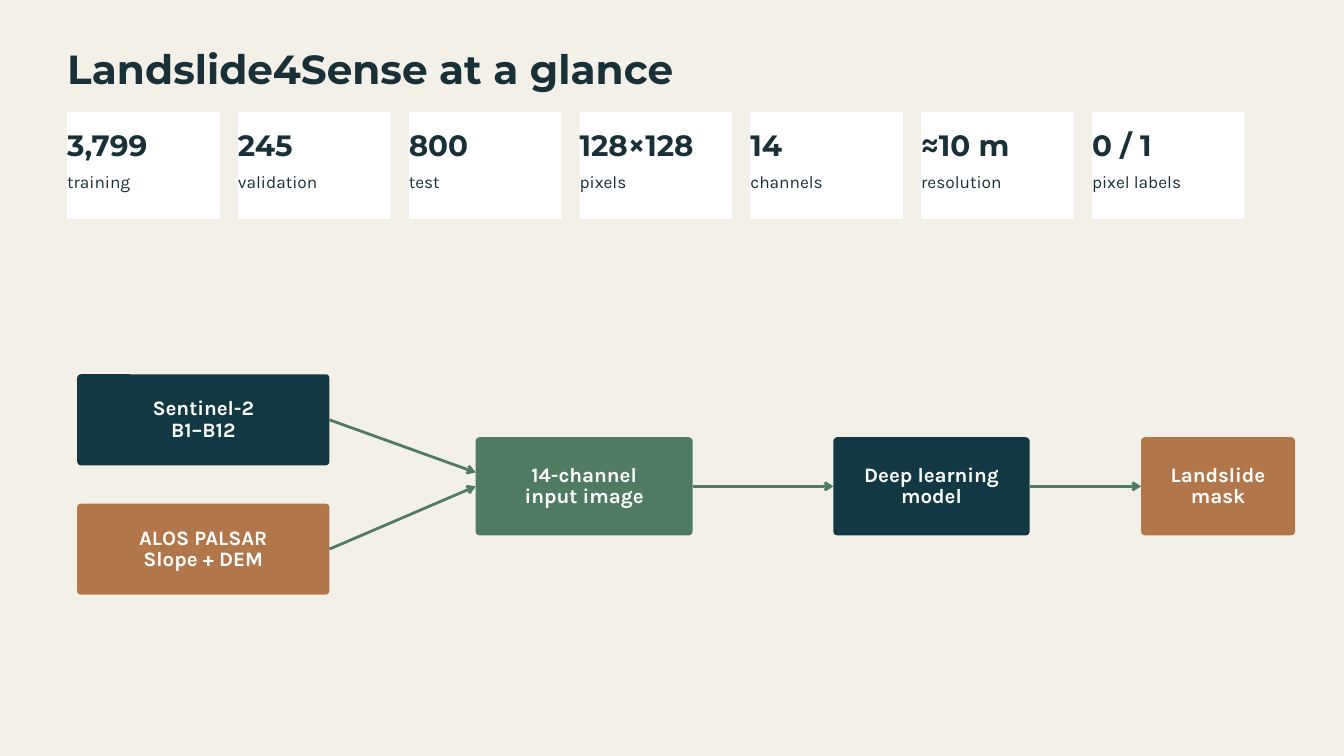
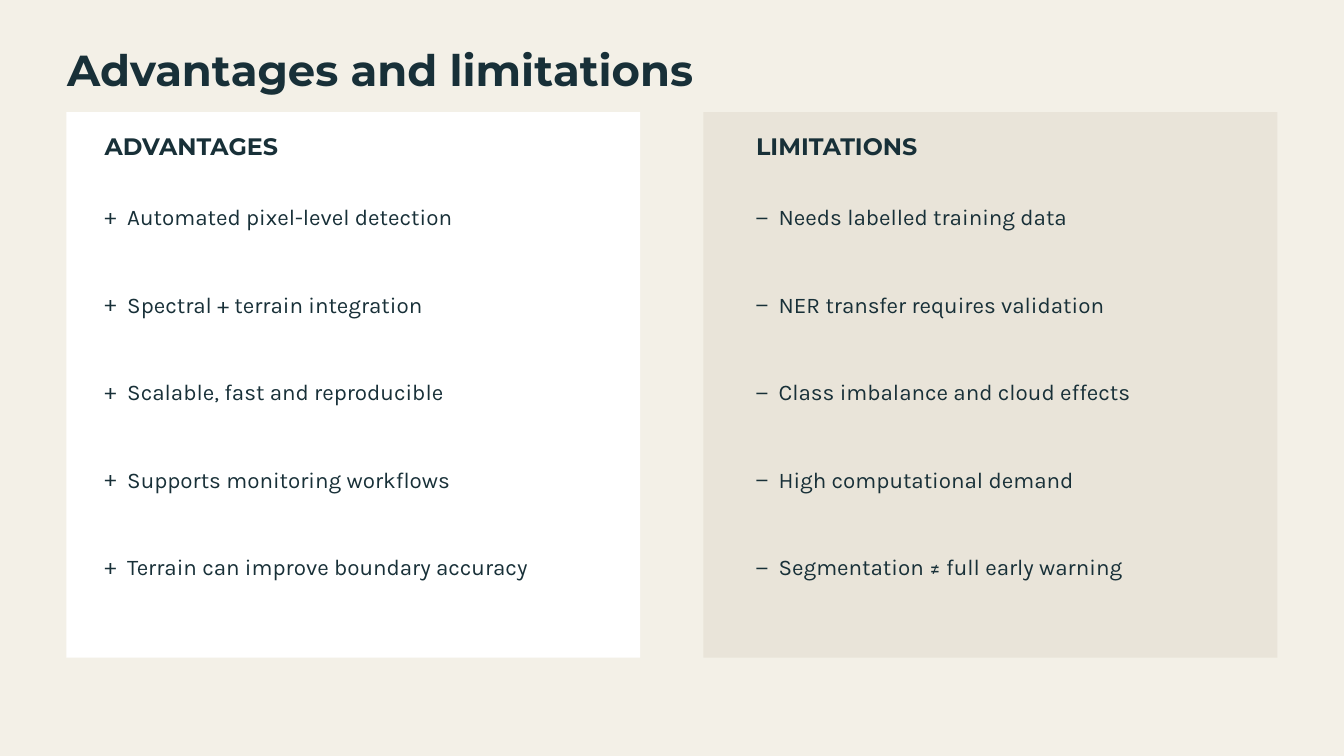
from pptx import Presentation
from pptx.dml.color import RGBColor
from pptx.enum.shapes import MSO_CONNECTOR, MSO_SHAPE
from pptx.enum.text import MSO_ANCHOR, MSO_AUTO_SIZE, PP_ALIGN
from pptx.oxml.ns import qn
from pptx.util import Cm, Pt
from lxml.etree import SubElement

COLOURS = {
    "paper": "F3F0E7",
    "ink": "183038",
    "white": "FFFFFF",
    "sand": "E9E4D9",
    "navy": "123844",
    "clay": "B2764B",
    "green": "4F7B62",
}
HEADING, BODY = "Montserrat", "Karla"
TOP, RIGHT, LEFT = 0, 3, 1
PANEL_TOP = 4.24


def colour(name):
    return RGBColor.from_string(COLOURS[name])


class Slides:
    """Holds the deck, its style and the current page."""

    def __init__(self):
        self.deck = Presentation()
        self.deck.slide_width, self.deck.slide_height = Cm(50.8), Cm(28.58)
        self.page = None

    def new_page(self, title, size):
        self.page = self.deck.slides.add_slide(self.deck.slide_layouts[6])
        self.page.background.fill.solid()
        self.page.background.fill.fore_color.rgb = colour("paper")
        self.text(title, 2.54, 1.88, 45.72, 1.7, size, size * 1.05, HEADING)

    def style(self, para, size, line, font, ink="ink"):
        para.line_spacing = Pt(line)
        for span in para.runs:
            span.font.name = font
            span.font.size = Pt(size)
            span.font.bold = font == HEADING or ink == "white"
            span.font.color.rgb = colour(ink)

    def text(self, words, left, top, width, height, size, line, font):
        box = self.page.shapes.add_textbox(Cm(left), Cm(top), Cm(width), Cm(height))
        frame = box.text_frame
        frame.word_wrap = True
        frame.auto_size = MSO_AUTO_SIZE.SHAPE_TO_FIT_TEXT
        frame.margin_left = frame.margin_right = 0
        frame.margin_top = frame.margin_bottom = 0
        frame.text = words
        for para in frame.paragraphs:
            self.style(para, size, line, font)
        return frame

    def bullets(self, mark, items, left, top, width, height):
        frame = self.text("\n".join(items), left, top, width, height, 24, 30, BODY)
        for index, para in enumerate(frame.paragraphs):
            if index:
                para.space_before = Pt(63.75)
            properties = para._p.get_or_add_pPr()
            properties.set("marL", str(Cm(0.85)))
            properties.set("indent", str(-Cm(0.85)))
            SubElement(properties, qn("a:buFont"), typeface=BODY)
            SubElement(properties, qn("a:buChar"), char=mark)

    def block(self, fill, left, top, width, height, kind=MSO_SHAPE.RECTANGLE):
        shape = self.page.shapes.add_shape(kind, Cm(left), Cm(top), Cm(width), Cm(height))
        shape.shadow.inherit = False
        shape.fill.solid()
        shape.fill.fore_color.rgb = colour(fill)
        shape.line.fill.background()
        return shape

    def node(self, words, fill, left, top, width, height):
        shape = self.block(fill, left, top, width, height, MSO_SHAPE.ROUNDED_RECTANGLE)
        shape.adjustments[0] = 0.04
        frame = shape.text_frame
        frame.word_wrap = True
        frame.vertical_anchor = MSO_ANCHOR.MIDDLE
        frame.margin_left = frame.margin_right = Cm(0.15)
        frame.margin_top = frame.margin_bottom = Cm(0.15)
        frame.text = words
        for para in frame.paragraphs:
            para.alignment = PP_ALIGN.CENTER
            self.style(para, 22, 23.1, BODY, "white")
        return shape

    def arrow(self, source, target, end_y=None):
        """Joins two nodes; end_y moves the tip off the middle of the side."""
        tip = Cm(end_y) if end_y else target.top + target.height // 2
        line = self.page.shapes.add_connector(
            MSO_CONNECTOR.STRAIGHT, source.left + source.width,
            source.top + source.height // 2, target.left, tip)
        line.begin_connect(source, RIGHT)
        if end_y is None:
            line.end_connect(target, LEFT)
        line.line.color.rgb = colour("green")
        line.line.width = Pt(3)
        SubElement(line.line._get_or_add_ln(), qn("a:tailEnd"), type="arrow")
        SubElement(line._element.spPr, qn("a:effectLst"))


def dataset_page(slides):
    slides.new_page("Landslide4Sense at a glance", 43.5)

    # Row of key figures
    figures = [
        ("3,799", "training"),
        ("245", "validation"),
        ("800", "test"),
        ("128×128", "pixels"),
        ("14", "channels"),
        ("≈10 m", "resolution"),
        ("0 / 1", "pixel labels"),
    ]
    for index, (value, label) in enumerate(figures):
        left = 2.54 + index * 6.456
        slides.block("white", left, PANEL_TOP, 5.77, 4.04)
        slides.text(value, left, 4.98, 5.56, 1.24, 31.5, 33.1, HEADING)
        slides.text(label, left, 6.45, 5.56, 0.81, 18.5, 23.1, BODY)

    # Flow from sensors to mask
    optical = slides.node("Sentinel-2\nB1–B12", "navy", 2.92, 14.15, 9.53, 3.44)
    terrain = slides.node("ALOS PALSAR\nSlope + DEM", "clay", 2.92, 19.04, 9.53, 3.44)
    steps = [
        ("14-channel\ninput image", "green", 17.98, 8.2),
        ("Deep learning\nmodel", "navy", 31.5, 7.42),
        ("Landslide\nmask", "clay", 43.13, 5.82),
    ]
    stack, model, mask = [
        slides.node(words, fill, left, 16.53, width, 3.71)
        for words, fill, left, width in steps
    ]
    slides.arrow(optical, stack, end_y=17.86)
    for source, target in [(terrain, stack), (stack, model), (model, mask)]:
        slides.arrow(source, target)


def balance_page(slides):
    slides.new_page("Advantages and limitations", 46.5)

    # Two panels, each with a heading and a list
    panels = [
        ("ADVANTAGES", "+", "white", 2.51, 3.96, [
            "Automated pixel-level detection",
            "Spectral + terrain integration",
            "Scalable, fast and reproducible",
            "Supports monitoring workflows",
            "Terrain can improve boundary accuracy",
        ]),
        ("LIMITATIONS", "−", "sand", 26.59, 28.58, [
            "Needs labelled training data",
            "NER transfer requires validation",
            "Class imbalance and cloud effects",
            "High computational demand",
            "Segmentation ≠ full early warning",
        ]),
    ]
    for heading, mark, fill, panel_left, text_left, items in panels:
        slides.block(fill, panel_left, PANEL_TOP, 21.69, 20.62)
        slides.text(heading, text_left, 5.13, 15.88, 0.97, 25.5, 26.8, HEADING)
        slides.bullets(mark, items, text_left, 7.65, 18.26, 14.29)


def main():
    slides = Slides()
    dataset_page(slides)
    balance_page(slides)
    slides.deck.save("out.pptx")


if __name__ == "__main__":
    main()
